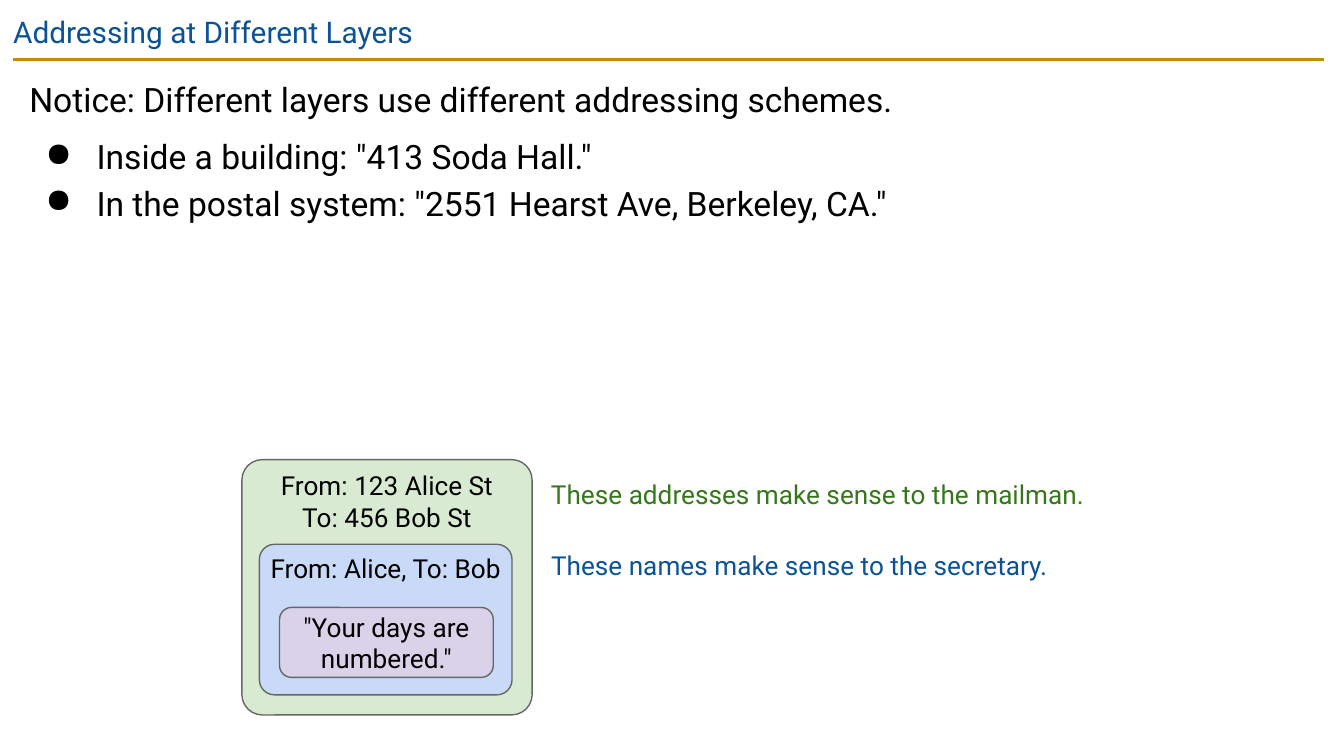
from lxml import etree
from pptx import Presentation
from pptx.dml.color import RGBColor
from pptx.enum.shapes import MSO_CONNECTOR, MSO_SHAPE
from pptx.enum.text import MSO_ANCHOR, PP_ALIGN
from pptx.oxml.ns import qn
from pptx.util import Inches, Pt

STRAIGHT = MSO_CONNECTOR.STRAIGHT
ROUNDED = MSO_SHAPE.ROUNDED_RECTANGLE
TOP, MIDDLE = MSO_ANCHOR.TOP, MSO_ANCHOR.MIDDLE
LEFT, CENTER = PP_ALIGN.LEFT, PP_ALIGN.CENTER
FONT = "Roboto"
BLACK, BLUE, GREEN = "000000", "0B5394", "38761D"
GOLD, GRAY = "BF9000", "666666"
SLIDE_WIDTH = 10
SLIDE_HEIGHT = SLIDE_WIDTH * 9 / 16


def color(value):
    return RGBColor.from_string(value)


def fill_text(shape, text, size, text_color, inset, align=LEFT, anchor=TOP):
    frame = shape.text_frame
    frame.text = text
    frame.word_wrap = True
    frame.vertical_anchor = anchor
    frame.margin_left = frame.margin_right = Inches(inset)
    frame.margin_top = frame.margin_bottom = Inches(inset)
    for paragraph in frame.paragraphs:
        paragraph.alignment = align
        for run in paragraph.runs:
            run.font.name = FONT
            run.font.size = Pt(size)
            run.font.color.rgb = color(text_color)


def add_text(slide, box, text, size, text_color, inset):
    shape = slide.shapes.add_textbox(*map(Inches, box))
    fill_text(shape, text, size, text_color, inset)
    return shape


def add_envelope(slide, box, corner, fill, text, inset, anchor=TOP):
    shape = slide.shapes.add_shape(ROUNDED, *map(Inches, box))
    shape.adjustments[0] = corner
    shape.shadow.inherit = False
    shape.fill.solid()
    shape.fill.fore_color.rgb = color(fill)
    shape.line.color.rgb = color(GRAY)
    shape.line.width = Pt(0.75)
    fill_text(shape, text, 14, BLACK, inset, CENTER, anchor)


def add_rule(slide, left, right, top):
    rule = slide.shapes.add_connector(
        STRAIGHT, Inches(left), Inches(top), Inches(right), Inches(top))
    rule.line.color.rgb = color(GOLD)
    rule.line.width = Pt(1.5)
    etree.SubElement(rule._element.spPr, qn("a:effectLst"))


def add_bullet(paragraph):
    properties = paragraph._p.get_or_add_pPr()
    properties.set("marL", str(Inches(0.5)))
    properties.set("indent", str(Inches(-0.38)))
    bullet_color = etree.SubElement(properties, qn("a:buClr"))
    etree.SubElement(bullet_color, qn("a:srgbClr"), val=BLACK)
    etree.SubElement(properties, qn("a:buChar"), char="●")


def add_body(slide, box, lines):
    body = add_text(slide, box, "\n".join(lines), 18, BLACK, 0.1)
    paragraphs = body.text_frame.paragraphs
    for paragraph in paragraphs:
        paragraph.line_spacing = 1.15
    for paragraph in paragraphs[1:]:
        add_bullet(paragraph)
    paragraphs[1].space_before = Pt(6)


def main():
    presentation = Presentation()
    presentation.slide_width = Inches(SLIDE_WIDTH)
    presentation.slide_height = Inches(SLIDE_HEIGHT)
    slide = presentation.slides.add_slide(presentation.slide_layouts[6])

    add_rule(slide, 0.1, 9.85, 0.44)
    add_text(slide, (0, 0, SLIDE_WIDTH, 0.43),
             "Addressing at Different Layers", 16, BLUE, 0.1)
    add_body(slide, (0.12, 0.44, 9.74, 2.24), [
        "Notice: Different layers use different addressing schemes.",
        'Inside a building: "413 Soda Hall."',
        'In the postal system: "2551 Hearst Ave, Berkeley, CA."',
    ])

    add_envelope(slide, (1.8, 3.42, 2.16, 1.9), 0.08, "D9EAD3",
                 "From: 123 Alice St\nTo: 456 Bob St", 0.03)
    add_envelope(slide, (1.93, 4.05, 1.88, 1.12), 0.1, "C9DAF8",
                 "From: Alice, To: Bob", 0.03)
    add_envelope(slide, (2.08, 4.52, 1.59, 0.52), 0.17, "D9D2E9",
                 '"Your days are numbered."', 0.1, MIDDLE)

    add_text(slide, (4.07, 3.53, 4.13, 0.3),
             "These addresses make sense to the mailman.", 14, GREEN, 0.03)
    add_text(slide, (4.07, 4.06, 3.82, 0.3),
             "These names make sense to the secretary.", 14, BLUE, 0.03)

    presentation.save("out.pptx")


if __name__ == "__main__":
    main()
